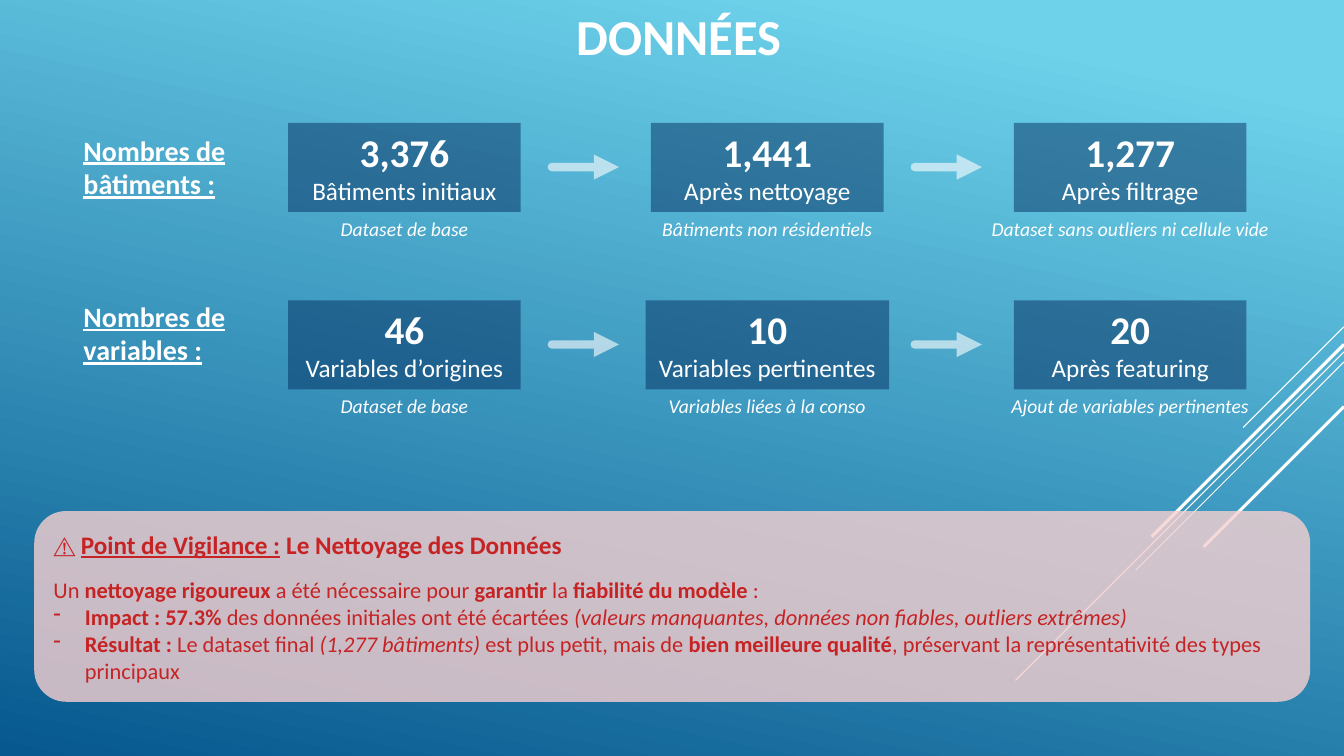
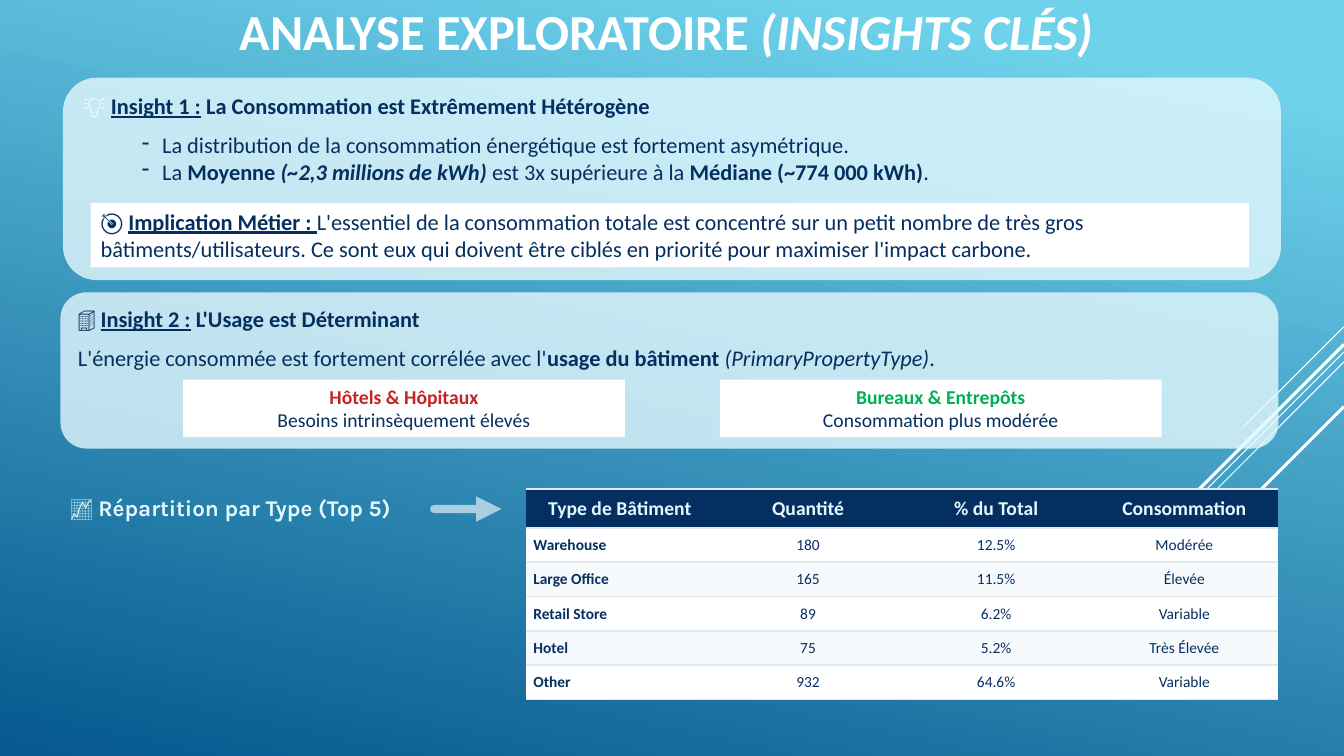
import pptx
import pptx.dml.color
import pptx.enum.shapes
import pptx.enum.text
import pptx.oxml.ns
import pptx.util
from lxml import etree

RGB = pptx.dml.color.RGBColor
WHITE = RGB(0xFF, 0xFF, 0xFF)
SKY = RGB(0x6E, 0xD2, 0xEB)
OCEAN = RGB(0x06, 0x58, 0x8E)
NAVY = RGB(0x05, 0x2F, 0x61)
ICE = RGB(0xE4, 0xF8, 0xFD)
PINK = RGB(0xF7, 0xD0, 0xD0)
RED = RGB(0xC6, 0x23, 0x24)
GREEN = RGB(0x00, 0xB0, 0x50)
STRIPE = RGB(0xF7, 0xFA, 0xFC)

BOLD = {"bold": True}
ITALIC = {"italic": True}
UNDERLINED = {"bold": True, "underline": True}
RECTANGLE = pptx.enum.shapes.MSO_SHAPE.RECTANGLE
ROUNDED = pptx.enum.shapes.MSO_SHAPE.ROUNDED_RECTANGLE
LEFT = pptx.enum.text.PP_ALIGN.LEFT
CENTER = pptx.enum.text.PP_ALIGN.CENTER
TOP = pptx.enum.text.MSO_ANCHOR.TOP
MIDDLE = pptx.enum.text.MSO_ANCHOR.MIDDLE
qn = pptx.oxml.ns.qn

# The slide is a grid of 160 columns by 90 rows of square cells
deck = pptx.Presentation()
deck.slide_width = pptx.util.Inches(40 / 3)
deck.slide_height = pptx.util.Inches(7.5)
GRID = deck.slide_width // 160


def place(slide, left, top, width, height, preset=None, fill=None, opacity=100, anchor=TOP):
    """Add a text box, or a filled shape, and return its text frame."""
    bounds = [round(length * GRID) for length in (left, top, width, height)]
    if preset is None:
        box = slide.shapes.add_textbox(*bounds)
    else:
        box = slide.shapes.add_shape(preset, *bounds)
        box.shadow.inherit = False
        box.line.fill.background()
        box.fill.solid()
        box.fill.fore_color.rgb = fill
        color = box._element.spPr.find(".//" + qn("a:srgbClr"))
        etree.SubElement(color, qn("a:alpha"), val=str(opacity * 1000))
    box.text_frame.word_wrap = True
    box.text_frame.vertical_anchor = anchor
    return box.text_frame


def write(frame, *runs, align=LEFT, before=0, hang=None, **text_format):
    """Add a paragraph; a run is a string or a (string, own format) pair."""
    para = frame.paragraphs[0]
    if para.runs:
        para = frame.add_paragraph()
    para.alignment = align
    if before:
        para.space_before = pptx.util.Pt(before)
    if hang:
        margin, indent = hang
        properties = para._p.get_or_add_pPr()
        properties.set("marL", str(round(margin * GRID)))
        properties.set("indent", str(round(-indent * GRID)))
        etree.SubElement(properties, qn("a:buChar"), char="-")
    for run in runs:
        words, own_format = (run, {}) if isinstance(run, str) else run
        look = {**text_format, **own_format}
        span = para.add_run()
        span.text = words
        span.font.name = look.get("font", "Calibri")
        span.font.size = pptx.util.Pt(look.get("size", 16))
        span.font.color.rgb = look.get("color", WHITE)
        span.font.bold = look.get("bold", False)
        span.font.italic = look.get("italic", False)
        span.font.underline = look.get("underline", False)


# Shared background
background = deck.slide_master.background.fill
background.gradient()
background.gradient_angle = 258
for stop, color, position in zip(background.gradient_stops, (SKY, OCEAN), (0.1, 1)):
    stop.color.rgb = color
    stop.position = position

data_slide, insight_slide = [deck.slides.add_slide(deck.slide_layouts[6]) for _ in range(2)]

# Diagonal rays: start row on the right edge, reach, line width
RAYS = [(38.9, 12, 0.75), (41.9, 39.1, 0.75), (43.1, 24.8, 0.75),
        (41, 22.9, 2.25), (48.4, 16.7, 2.25)]
# Stages of the data slide: two rows of three
STAGE_TOPS = (14.64, 35.76)
STAGE_PITCH = 43.2
STAGE_HEIGHT = 10.6

# Arrows: left end and row
data_arrows = [(65.7 + gap * STAGE_PITCH, top + 5.25) for top in STAGE_TOPS for gap in range(2)]
insight_arrows = [(51.7, 60.6)]

# Rays and arrows on each slide
for slide, arrows in ((data_slide, data_arrows), (insight_slide, insight_arrows)):
    lines = [(160, row, 160 - reach, row + reach, width, False) for row, reach, width in RAYS]
    lines += [(left, row, left + 8, row, 6, True) for left, row in arrows]
    for *ends, width, is_arrow in lines:
        connector = slide.shapes.add_connector(
            pptx.enum.shapes.MSO_CONNECTOR.STRAIGHT, *[round(end * GRID) for end in ends])
        connector.line.width = pptx.util.Pt(width)
        connector.line.color.rgb = WHITE
        properties = connector._element.spPr
        if is_arrow:
            outline = properties.find(qn("a:ln"))
            outline.set("cap", "rnd")
            etree.SubElement(outline.find(".//" + qn("a:srgbClr")), qn("a:alpha"), val="60000")
            etree.SubElement(outline, qn("a:tailEnd"), type="triangle")
        etree.SubElement(properties, qn("a:effectLst"))

# Titles
for slide, left, top, title in (
        (data_slide, 20.8, 0, ["DONNÉES"]),
        (insight_slide, 19.4, -0.6, ["ANALYSE EXPLORATOIRE ", ("(INSIGHTS CLÉS)", ITALIC)])):
    write(place(slide, left, top, 120, 8.5), *title, size=36, bold=True, align=CENTER)

# Data slide: row label, its top, then count, meaning, caption and width of each stage
stage_rows = [
    ("Nombres de bâtiments :", 15.24, [
        ("3,376", "Bâtiments initiaux", "Dataset de base", 27.7),
        ("1,441", "Après nettoyage", "Bâtiments non résidentiels", 27.7),
        ("1,277", "Après filtrage", "Dataset sans outliers ni cellule vide", 27.7)]),
    ("Nombres de variables :", 35.04, [
        ("46", "Variables d’origines", "Dataset de base", 27.7),
        ("10", "Variables pertinentes", "Variables liées à la conso", 29),
        ("20", "Après featuring", "Ajout de variables pertinentes", 27.7)]),
]
for top, (label, label_top, stages) in zip(STAGE_TOPS, stage_rows):
    write(place(data_slide, 8.76, label_top, 20.5, 9.2), label, size=20, **UNDERLINED)
    for index, (count, meaning, caption, width) in enumerate(stages):
        center = 48.15 + index * STAGE_PITCH
        stage = place(data_slide, center - width / 2, top, width, STAGE_HEIGHT,
                      RECTANGLE, NAVY, opacity=50)
        write(stage, count, size=28, bold=True, align=CENTER)
        write(stage, meaning, size=18, align=CENTER)
        write(place(data_slide, center - 18, top + STAGE_HEIGHT, 36, 4),
              caption, size=14, italic=True, align=CENTER)

# Data slide: warning panel
warning = place(data_slide, 4.08, 60.84, 151.9, 22.7, ROUNDED, PINK, opacity=80, anchor=MIDDLE)
write(warning, ("⚠️ ", {"size": 16}), ("Point de Vigilance :", UNDERLINED),
      " Le Nettoyage des Données", size=18, bold=True, color=RED)
write(warning, "Un ", ("nettoyage rigoureux ", BOLD), "a été nécessaire pour ",
      ("garantir", BOLD), " la ", ("fiabilité du modèle ", BOLD), ":", before=12, color=RED)
write(warning, ("Impact : 57.3%", BOLD), " des données initiales ont été écartées ",
      ("(valeurs manquantes, données non fiables, outliers extrêmes)", ITALIC),
      hang=(3.75, 3.75), color=RED)
write(warning, ("Résultat :", BOLD), " Le dataset final ", ("(1,277 bâtiments) ", ITALIC),
      "est plus petit, mais de ", ("bien meilleure qualité", BOLD),
      ", préservant la représentativité des types principaux", hang=(3.75, 3.75), color=RED)

# Insight 1
spread = place(insight_slide, 7.5, 9.25, 145, 24.1, ROUNDED, ICE, opacity=80)
write(spread, ("💡 ", {"color": WHITE}), ("Insight 1 :", UNDERLINED),
      " La Consommation est Extrêmement Hétérogène", bold=True, color=NAVY)
write(spread, "La distribution de la consommation énergétique est fortement asymétrique.",
      before=8.5, hang=(9.45, 2.4), color=NAVY)
write(spread, "La ", ("Moyenne ", BOLD), ("(~2,3 millions de kWh) ", {**BOLD, **ITALIC}),
      "est 3x supérieure à la ", ("Médiane (~774 000 kWh)", BOLD), ".",
      hang=(9.45, 2.4), color=NAVY)
implication = place(insight_slide, 10.8, 24.15, 137.9, 7.7, RECTANGLE, WHITE)
write(implication, "🎯 ", ("Implication Métier : ", UNDERLINED),
      "L'essentiel de la consommation totale est concentré sur un petit nombre de très gros "
      "bâtiments/utilisateurs. Ce sont eux qui doivent être ciblés en priorité pour maximiser "
      "l'impact carbone.", color=NAVY)

# Insight 2
usage = place(insight_slide, 7.2, 34.8, 145, 18.6, ROUNDED, ICE, opacity=80)
write(usage, "🏢 ", ("Insight 2 :", UNDERLINED), " L'Usage est Déterminant",
      bold=True, color=NAVY)
write(usage, "L'énergie consommée est fortement corrélée avec l'", ("usage du bâtiment ", BOLD),
      ("(PrimaryPropertyType)", ITALIC), ".", before=8.5, color=NAVY)
for left, group, need, color in (
        (21.8, "Hôtels & Hôpitaux", "Besoins intrinsèquement élevés", RED),
        (85.7, "Bureaux & Entrepôts", "Consommation plus modérée", GREEN)):
    card = place(insight_slide, left, 45.2, 52.6, 6.85, RECTANGLE, WHITE)
    write(card, group, size=14, bold=True, color=color, align=CENTER)
    write(card, need, size=14, color=NAVY, align=CENTER)

# Breakdown by building type
write(place(insight_slide, 7.2, 58.2, 43.8, 4.4), "📈 Répartition par Type (Top 5)",
      font="Karla", bold=True, color=ICE)
records = [
    ("Type de Bâtiment", "Quantité", "% du Total", "Consommation"),
    ("Warehouse", "180", "12.5%", "Modérée"),
    ("Large Office", "165", "11.5%", "Élevée"),
    ("Retail Store", "89", "6.2%", "Variable"),
    ("Hotel", "75", "5.2%", "Très Élevée"),
    ("Other", "932", "64.6%", "Variable"),
]
bounds = [round(length * GRID) for length in (62.6, 58.2, 89.6, 25.1)]
table = insight_slide.shapes.add_table(len(records), len(records[0]), *bounds).table
table.horz_banding = False
# Plain style without grid lines
table._tbl.tblPr.find(qn("a:tableStyleId")).text = "{2D5ABB26-0587-4C30-8999-92F81FD0307C}"
for row, record in enumerate(records):
    is_header = row == 0
    table.rows[row].height = round((4.65 if is_header else 4.09) * GRID)
    for column, words in enumerate(record):
        cell = table.cell(row, column)
        cell.vertical_anchor = MIDDLE
        cell.margin_left = cell.margin_right = round(0.9 * GRID)
        cell.margin_top = cell.margin_bottom = round(0.9 * GRID)
        cell.fill.solid()
        cell.fill.fore_color.rgb = NAVY if is_header else (STRIPE, WHITE)[row % 2]
        write(cell.text_frame, words, size=14 if is_header else 11,
              color=ICE if is_header else NAVY, bold=is_header or column == 0,
              align=CENTER if is_header or column else LEFT)
        for index, side in enumerate(("a:lnT", "a:lnB")):
            border = etree.Element(qn(side), w=str(pptx.util.Pt(1.5)))
            fill = etree.SubElement(border, qn("a:solidFill"))
            etree.SubElement(fill, qn("a:srgbClr"), val="E2E8F0")
            cell._tc.get_or_add_tcPr().insert(index, border)

deck.save("out.pptx")
